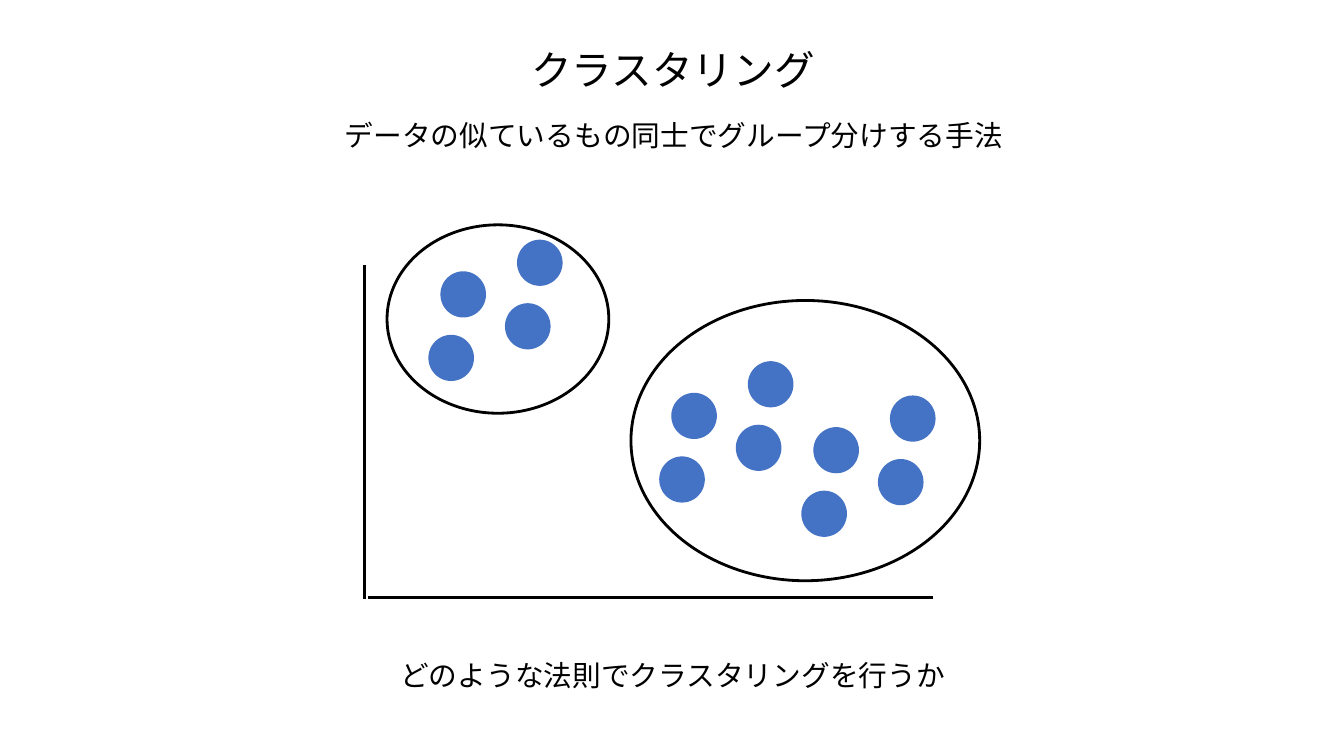
from lxml.etree import SubElement
from pptx import Presentation
from pptx.dml.color import RGBColor
from pptx.enum.shapes import MSO_CONNECTOR, MSO_SHAPE
from pptx.enum.text import MSO_ANCHOR, MSO_AUTO_SIZE
from pptx.oxml.ns import qn
from pptx.util import Pt

BLACK = RGBColor(0x00, 0x00, 0x00)
BLUE = RGBColor(0x44, 0x72, 0xC4)

DOT_WIDTH, DOT_HEIGHT = 32.6, 33
COLUMN_STEP = (54.7, -22.6)
UPPER_STEP = (8.6, -45.4)
# Lower-left dot of each group of four
GROUP_ORIGINS = [(306, 239.2), (470.9, 326), (572.4, 350.5)]


class SlideBuilder:
    font_name = "Noto Sans CJK JP"
    line_width = 2
    inset = 2.2

    def __init__(self, slide):
        self.slide = slide

    def text(self, left, top, width, height, wording, size):
        box = self.slide.shapes.add_textbox(Pt(left), Pt(top), Pt(width), Pt(height))
        frame = box.text_frame
        frame.word_wrap = False
        frame.auto_size = MSO_AUTO_SIZE.SHAPE_TO_FIT_TEXT
        frame.vertical_anchor = MSO_ANCHOR.MIDDLE
        frame.margin_left = frame.margin_right = Pt(self.inset)
        frame.margin_top = frame.margin_bottom = Pt(self.inset)
        run = frame.paragraphs[0].add_run()
        run.text = wording
        run.font.size = Pt(size)
        run.font.name = self.font_name
        run.font.color.rgb = BLACK
        east_asian = SubElement(run.font._element, qn("a:ea"))
        east_asian.set("typeface", self.font_name)

    def axis(self, start_x, start_y, end_x, end_y):
        connector = self.slide.shapes.add_connector(
            MSO_CONNECTOR.STRAIGHT, Pt(start_x), Pt(start_y), Pt(end_x), Pt(end_y))
        connector.line.color.rgb = BLACK
        connector.line.width = Pt(self.line_width)
        SubElement(connector._element.spPr, qn("a:effectLst"))

    def ellipse(self, left, top, width, height):
        shape = self.slide.shapes.add_shape(
            MSO_SHAPE.OVAL, Pt(left), Pt(top), Pt(width), Pt(height))
        shape.shadow.inherit = False
        return shape

    def dot(self, left, top):
        shape = self.ellipse(left, top, DOT_WIDTH, DOT_HEIGHT)
        shape.fill.solid()
        shape.fill.fore_color.rgb = BLUE
        shape.line.fill.background()

    def dot_group(self, left, top):
        """Draw two slanted columns of two dots from the lower-left dot."""
        for column in range(2):
            for row in range(2):
                self.dot(left + column * COLUMN_STEP[0] + row * UPPER_STEP[0],
                         top + column * COLUMN_STEP[1] + row * UPPER_STEP[1])

    def cluster_outline(self, left, top, width, height):
        shape = self.ellipse(left, top, width, height)
        shape.fill.background()
        shape.line.color.rgb = BLACK
        shape.line.width = Pt(self.line_width)


def main():
    presentation = Presentation()
    presentation.slide_width = Pt(960)
    presentation.slide_height = Pt(540)
    builder = SlideBuilder(presentation.slides.add_slide(presentation.slide_layouts[6]))

    builder.text(377.3, 30.2, 208.8, 38.9, "クラスタリング", 29)
    builder.text(244.1, 82.1, 480.2, 28.8, "データの似ているもの同士でグループ分けする手法", 20.5)

    builder.axis(260.6, 427.7, 260.6, 189.4)
    builder.axis(262.8, 427, 666.7, 427)

    for left, top in GROUP_ORIGINS:
        builder.dot_group(left, top)
    builder.cluster_outline(450.7, 214.6, 249.1, 200.2)
    builder.cluster_outline(276.5, 160.6, 158.4, 134.6)

    builder.text(283.7, 468, 397.4, 28.8, "どのような法則でクラスタリングを行うか", 20.5)

    presentation.save("out.pptx")


if __name__ == "__main__":
    main()
